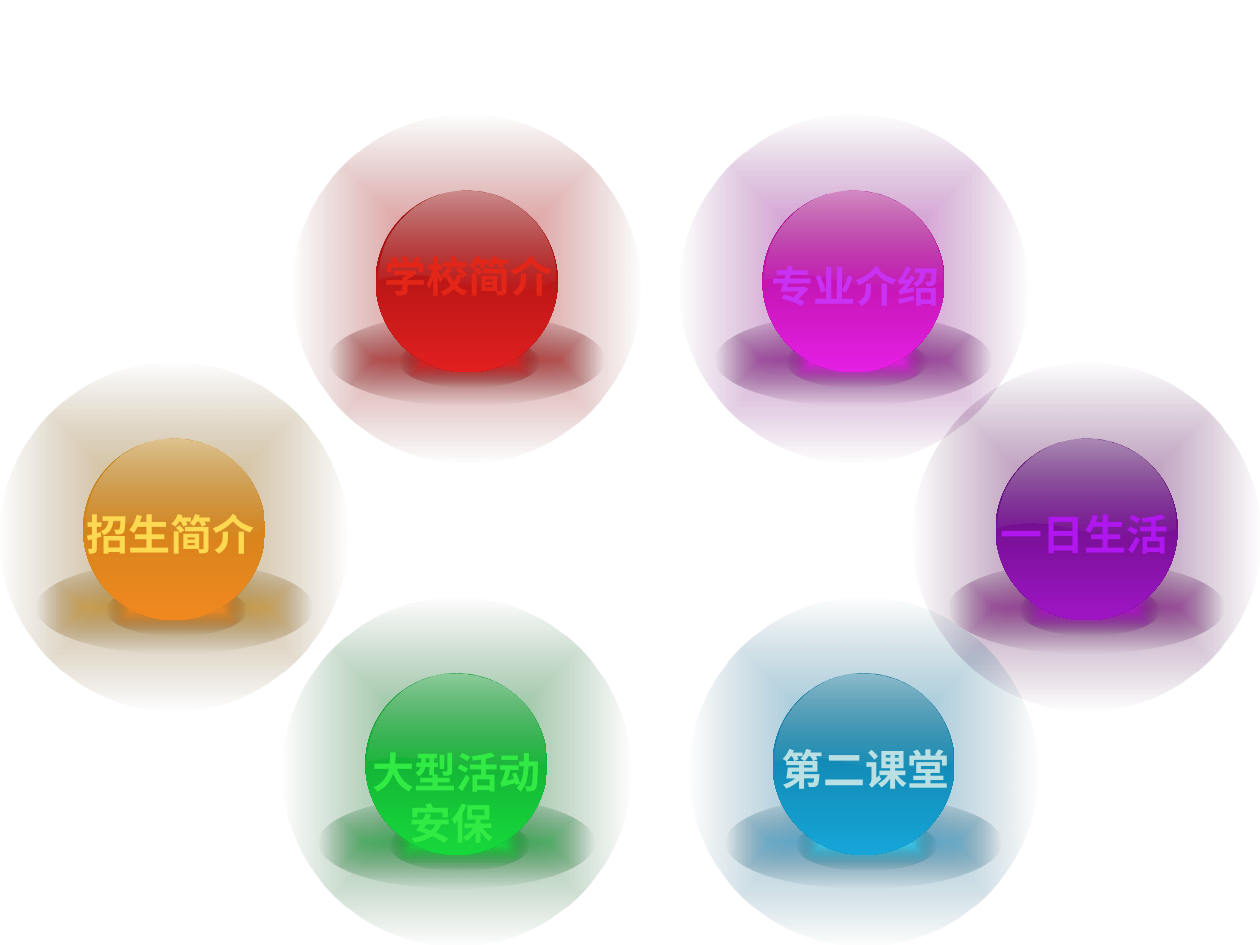
from lxml.etree import SubElement
from pptx import Presentation
from pptx.dml.color import RGBColor
from pptx.enum.shapes import MSO_SHAPE
from pptx.enum.text import MSO_AUTO_SIZE, PP_ALIGN
from pptx.oxml.ns import qn
from pptx.util import Pt

COLOURS = {
    "magenta": {"halo": "BC16BC", "ring": "780E78", "glow": "E51FE5",
                "ball_top": "A40C83", "ball_base": "E51FE5", "label": "C931F3"},
    "red": {"halo": "E11F1F", "ring": "960E0E", "glow": "E11F1F",
            "ball_top": "960E0E", "ball_base": "E11F1F", "label": "E32617"},
    "purple": {"halo": "780E78", "ring": "780E78", "glow": "AA17C7",
               "ball_top": "500B65", "ball_base": "9F15C5", "label": "B016EE"},
    "blue": {"halo": "2FA4D9", "ring": "338EB7", "glow": "35C8EB",
             "ball_top": "0F7295", "ball_base": "16A5D8", "label": "BBE0E3"},
    "green": {"halo": "10942F", "ring": "10942F", "glow": "16D83B",
              "ball_top": "10942F", "ball_base": "16D83B", "label": "32EA44"},
    "amber": {"halo": "BC8116", "ring": "BC8116", "glow": "F08820",
              "ball_top": "BC8116", "ball_base": "F08820", "label": "FDD851"},
    "shine": {"top": "FFFFFF", "base": "B6B6B6"},
}
UPPER, MIDDLE, LOWER = 65.6, 207.3, 341.4
SPHERES = [
    ("专业介绍", "magenta", 388.2, UPPER, (45.4, 79.9), {}),
    ("学校简介", "red", 167.2, UPPER, (45.4, 74.2), {}),
    ("一日生活", "purple", 521.4, MIDDLE, (43, 79.9), {}),
    ("第二课堂", "blue", 394, LOWER, (45.3, 79.9), {}),
    ("大型活动安保 ", "green", 161.3, LOWER, (40.3, 81.8),
     {"height": 64.8, "align": PP_ALIGN.CENTER}),
    ("招生简介", "amber", 0, MIDDLE, (42.5, 79.9), {}),
]
HALOS = {
    "halo": ((0, 0, 198.7, 198.7), 62),
    "ring": ((20.6, 113.8, 157.7, 52.6), 61),
    "glow": ((61.1, 127.1, 79.9, 28.8), 93),
}
BALL = (47.5, 43.2, 104, 104)
SHINE_ORIGIN = (48.8, 43.2)
SHINE_START = (89.3, 17.3)
SHINE_CURVES = [
    (97.2, 26.6), (101.5, 38.2), (101.5, 50.4),
    (66.2, 71.3), (42.5, 38.9), (0, 50.4),
    (0, 36.7), (5, 24.5), (13.7, 15.8),
    (23, 5.8), (36, 0), (50.4, 0),
    (66.2, 0), (79.9, 6.5), SHINE_START,
]


def darker(colour):
    """Return the colour at 46.4 percent of its brightness."""
    return "".join(f"{int(int(colour[i:i + 2], 16) * 0.464):02X}" for i in (0, 2, 4))


def paint(shape, stops, radial=False):
    """Fill with a two-stop (colour, opacity) gradient, without line or shadow."""
    shape.shadow.inherit = False
    shape.line.fill.background()
    shape.fill.background()
    gradient = shape._element.spPr.find(qn("a:noFill"))
    gradient.tag = qn("a:gradFill")
    gradient.set("rotWithShape", "1")
    stop_list = SubElement(gradient, qn("a:gsLst"))
    for position, (colour, opacity) in zip((0, 100000), stops):
        stop = SubElement(stop_list, qn("a:gs"), pos=str(position))
        tint = SubElement(stop, qn("a:srgbClr"), val=colour)
        if opacity < 100:
            SubElement(tint, qn("a:alpha"), val=str(opacity * 1000))
    if radial:
        focus = SubElement(gradient, qn("a:path"), path="shape")
        SubElement(focus, qn("a:fillToRect"), l="50000", t="50000", r="50000", b="50000")
    else:
        SubElement(gradient, qn("a:lin"), ang="5400000", scaled="1")


def add_ellipse(shapes, left, top, box, stops, radial=False):
    """Add a gradient ellipse whose box is relative to the sphere's corner."""
    x, y, width, height = box
    ellipse = shapes.add_shape(MSO_SHAPE.OVAL, Pt(left + x), Pt(top + y), Pt(width), Pt(height))
    paint(ellipse, stops, radial)


def curve_segments(freeform):
    """Turn each three straight segments into one cubic curve."""
    segments = list(freeform._element.iter(qn("a:lnTo")))
    for index in range(0, len(segments), 3):
        curve, *followers = segments[index:index + 3]
        curve.tag = qn("a:cubicBezTo")
        for segment in followers:
            curve.append(segment[0])
            segment.getparent().remove(segment)


def add_shine(shapes, left, top):
    """Add the pale reflection on the upper half of a ball."""
    x, y = left + SHINE_ORIGIN[0], top + SHINE_ORIGIN[1]
    start, *knots = [(Pt(x + dx), Pt(y + dy)) for dx, dy in [SHINE_START, *SHINE_CURVES]]
    builder = shapes.build_freeform(*start)
    builder.add_line_segments(knots, close=True)
    reflection = builder.convert_to_shape()
    curve_segments(reflection)
    shine = COLOURS["shine"]
    paint(reflection, [(shine["top"], 53), (shine["base"], 0)])


def add_label(shapes, text, left, top, colour, height=36, size=24, align=None):
    """Add a bold wrapped label."""
    label = shapes.add_textbox(Pt(left), Pt(top), Pt(118.8), Pt(height))
    frame = label.text_frame
    frame.word_wrap = True
    frame.auto_size = MSO_AUTO_SIZE.SHAPE_TO_FIT_TEXT
    paragraph = frame.paragraphs[0]
    paragraph.alignment = align
    run = paragraph.add_run()
    run.text = text
    run.font.name = "Arial"
    run.font.size = Pt(size)
    run.font.bold = True
    run.font.color.rgb = RGBColor.from_string(colour)


def add_sphere(slide, text, palette, left, top, label_offset, label_format):
    """Add one glowing ball with its label as a group."""
    colours = COLOURS[palette]
    shapes = slide.shapes.add_group_shape().shapes
    for part, (box, opacity) in HALOS.items():
        stops = [(colours[part], opacity), (darker(colours[part]), 0)]
        add_ellipse(shapes, left, top, box, stops, radial=True)
    add_ellipse(shapes, left, top, BALL,
                [(colours["ball_top"], 100), (colours["ball_base"], 100)])
    add_shine(shapes, left, top)
    dx, dy = label_offset
    add_label(shapes, text, left + dx, top + dy, colours["label"], **label_format)


def main():
    """Build the slide of six spheres."""
    presentation = Presentation()
    presentation.slide_width, presentation.slide_height = Pt(720), Pt(540)
    slide = presentation.slides.add_slide(presentation.slide_layouts[6])
    for sphere in SPHERES:
        add_sphere(slide, *sphere)
    presentation.save("out.pptx")


if __name__ == "__main__":
    main()
